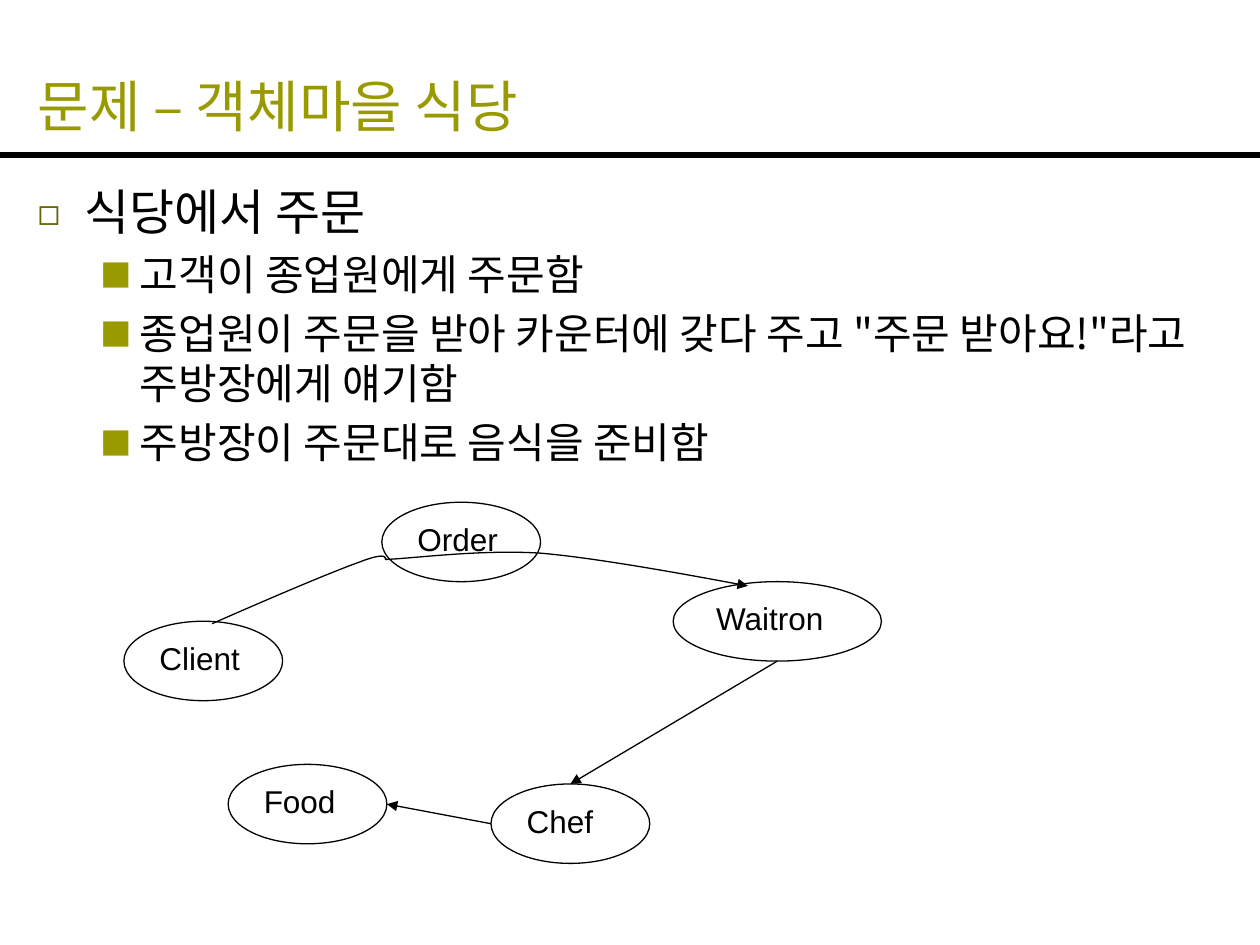
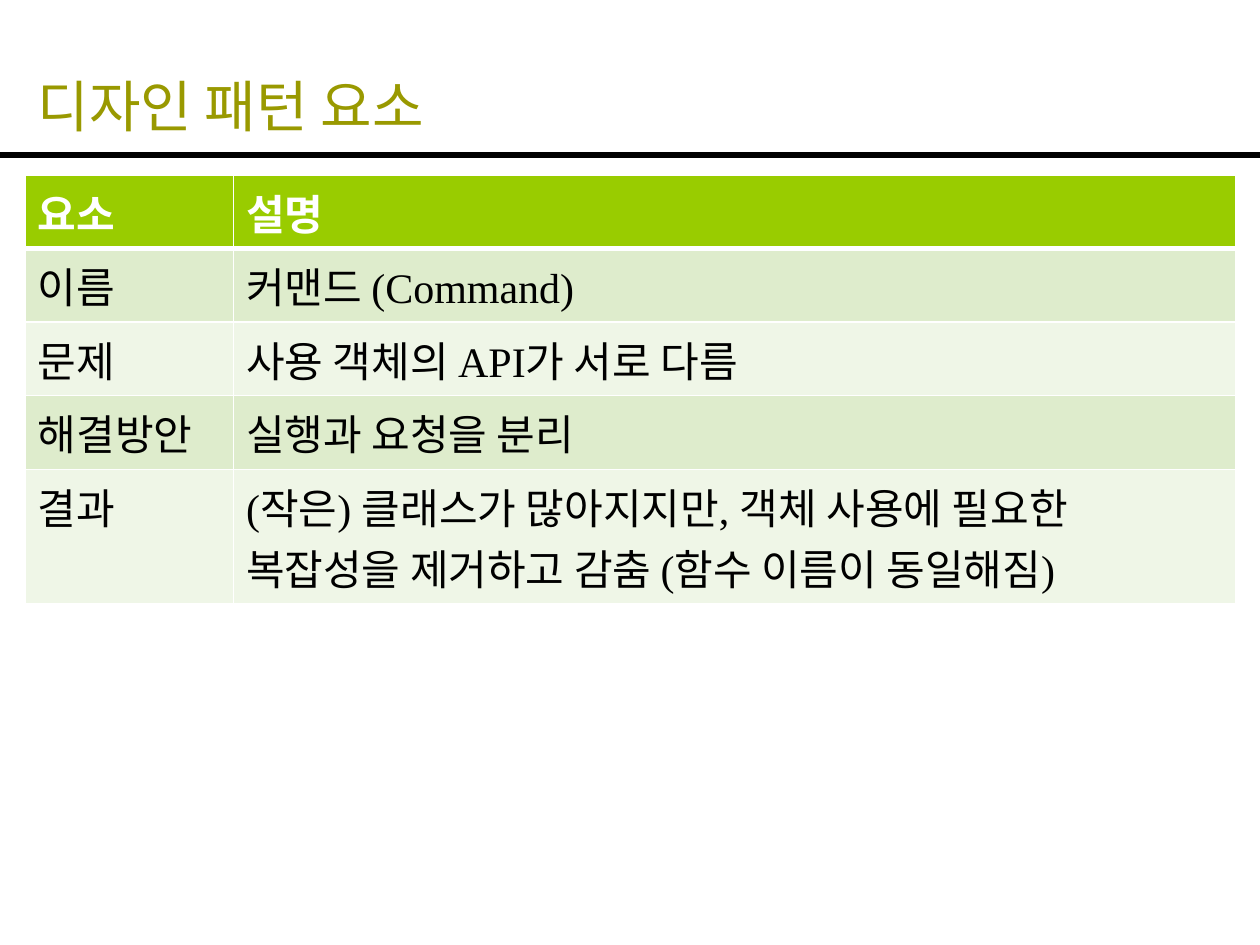
from dataclasses import dataclass

from pptx import Presentation
from pptx.dml.color import RGBColor as RGB
from pptx.enum.shapes import MSO_CONNECTOR as Connector, MSO_SHAPE as Preset
from pptx.enum.text import MSO_ANCHOR as Anchor, MSO_AUTO_SIZE as AutoSize, PP_ALIGN as Align
from pptx.oxml.ns import qn
from pptx.oxml.xmlchemy import OxmlElement as make
from pptx.util import Pt


@dataclass(frozen=True)
class Theme:
    # Colours
    ink: str = "000000"
    paper: str = "FFFFFF"
    olive: str = "999900"
    dark_olive: str = "666600"
    header: str = "99CC00"
    bands: tuple = ("DEECCC", "EFF6E7")
    # Fonts
    korean: str = "Noto Sans CJK KR"
    label_font: str = "Arial"
    table_font: str = "Times New Roman"
    # Type sizes and line widths
    title: int = 32
    topic: int = 28
    detail: int = 24
    label: int = 18
    rule: float = 3
    thin: float = 0.75
    grid: float = 1


def child(parent, tag, **attributes):
    element = make(tag)
    for name, value in attributes.items():
        element.set(name, str(value))
    parent.append(element)
    return element


class Deck:
    LEFT, WIDTH, BODY_TOP = 14.4, 692, 100

    def __init__(self, theme):
        self.theme = theme
        self.show = Presentation()
        self.show.slide_width, self.show.slide_height = Pt(720), Pt(540)
        self.slide = None

    def style(self, paragraph, size, face, color, bold=False):
        font = paragraph.font
        font.size, font.name, font.bold = Pt(size), face, bold
        font.color.rgb = RGB.from_string(color)
        defaults = paragraph._p.pPr.find(qn("a:defRPr"))
        child(defaults, "a:ea", typeface=self.theme.korean)

    def outline(self, shape, width, arrow=False):
        shape.line.color.rgb = RGB.from_string(self.theme.ink)
        shape.line.width = Pt(width)
        if arrow:
            child(shape.line._get_or_add_ln(), "a:tailEnd", type="triangle")

    def new_slide(self, heading):
        self.slide = self.show.slides.add_slide(self.show.slide_layouts[5])
        title = self.slide.shapes.title
        title.left, title.top = Pt(self.LEFT), Pt(21.6)
        title.width, title.height = Pt(self.WIDTH), Pt(61.2)
        frame = title.text_frame
        frame.text = heading
        frame.auto_size, frame.vertical_anchor = AutoSize.NONE, Anchor.BOTTOM
        frame.paragraphs[0].alignment = Align.LEFT
        self.style(frame.paragraphs[0], self.theme.title, self.theme.korean, self.theme.olive)
        self.line((0, 88.6), (720, 88.6), self.theme.rule)

    def line(self, start, end, width, arrow=False):
        ends = [Pt(value) for value in (*start, *end)]
        link = self.slide.shapes.add_connector(Connector.STRAIGHT, *ends)
        self.outline(link, width, arrow)
        child(link._element.spPr, "a:effectLst")

    def bullets(self, items, height):
        """Each item is (level, text)."""
        theme = self.theme
        # Per level: type size, text indent, hanging indent, mark, mark colour
        levels = (
            (theme.topic, 27, 27, "\u25fb", theme.dark_olive),
            (theme.detail, 58.5, 22.5, "\u25a0", theme.olive),
        )
        box = self.slide.shapes.add_textbox(
            Pt(self.LEFT), Pt(self.BODY_TOP), Pt(self.WIDTH), Pt(height))
        frame = box.text_frame
        frame.word_wrap = True
        for index, (level, text) in enumerate(items):
            size, indent, hang, mark, mark_color = levels[level]
            paragraph = frame.add_paragraph() if index else frame.paragraphs[0]
            paragraph.text, paragraph.level = text, level
            paragraph.line_spacing = Pt(size * 1.2)
            paragraph.space_before = Pt(size * 0.2)
            self.style(paragraph, size, theme.korean, theme.ink)
            props = paragraph._p.pPr
            props.set("marL", str(Pt(indent)))
            props.set("indent", str(-Pt(hang)))
            defaults = props.find(qn("a:defRPr"))
            child(child(props, "a:buClr"), "a:srgbClr", val=mark_color)
            child(props, "a:buSzPct", val=75000)
            child(props, "a:buFont", typeface=theme.korean)
            child(props, "a:buChar", char=mark)
            props.append(defaults)  # the schema wants the font defaults last

    def ellipse(self, text, left, top, width=90.7, height=45.4):
        node = self.slide.shapes.add_shape(
            Preset.OVAL, Pt(left), Pt(top), Pt(width), Pt(height))
        node.shadow.inherit = False
        node.fill.background()
        self.outline(node, self.theme.thin)
        frame = node.text_frame
        frame.text, frame.word_wrap, frame.vertical_anchor = text, True, Anchor.TOP
        frame.paragraphs[0].alignment = Align.LEFT
        self.style(frame.paragraphs[0], self.theme.label, self.theme.label_font, self.theme.ink)
        middle, centre = top + height / 2, left + width / 2
        return {"top": (centre, top), "bottom": (centre, top + height),
                "left": (left, middle), "right": (left + width, middle)}

    def curve(self, start, points):
        """Cubic curve: every three points are two controls and an end."""
        builder = self.slide.shapes.build_freeform(Pt(start[0]), Pt(start[1]))
        builder.add_line_segments([(Pt(x), Pt(y)) for x, y in points], close=False)
        flow = builder.convert_to_shape()
        flow.shadow.inherit = False
        flow.fill.background()
        self.outline(flow, self.theme.thin, arrow=True)
        segments = list(flow._element.iter(qn("a:lnTo")))
        for first in range(0, len(segments), 3):
            cubic = make("a:cubicBezTo")
            segments[first].addprevious(cubic)
            for segment in segments[first:first + 3]:
                cubic.append(segment[0])
                segment.getparent().remove(segment)

    def borders(self, cell, **widths):
        props = cell._tc.get_or_add_tcPr()
        for index, side in enumerate(("lnL", "lnR", "lnT", "lnB")):
            edge = make(f"a:{side}")
            edge.set("w", str(Pt(widths.get(side, self.theme.grid))))
            child(child(edge, "a:solidFill"), "a:srgbClr", val=self.theme.paper)
            props.insert(index, edge)

    def table(self, rows, column_widths, row_height):
        theme = self.theme
        grid = self.slide.shapes.add_table(
            len(rows), len(column_widths), Pt(self.LEFT), Pt(self.BODY_TOP),
            Pt(sum(column_widths)), Pt(row_height * len(rows))).table
        for column, width in zip(grid.columns, column_widths):
            column.width = Pt(width)
        for r, row in enumerate(rows):
            is_header = r == 0
            fill = theme.header if is_header else theme.bands[(r - 1) % 2]
            color = theme.paper if is_header else theme.ink
            edges = {0: {"lnB": theme.rule}, 1: {"lnT": theme.rule}}.get(r, {})
            for c, text in enumerate(row):
                cell = grid.cell(r, c)
                cell.text = text
                cell.fill.solid()
                cell.fill.fore_color.rgb = RGB.from_string(fill)
                self.style(cell.text_frame.paragraphs[0], theme.detail,
                           theme.table_font, color, is_header)
                self.borders(cell, **edges)


deck = Deck(Theme())

# Slide 1: the restaurant problem
deck.new_slide("문제 – 객체마을 식당")
deck.bullets([
    (0, "식당에서 주문"),
    (1, "고객이 종업원에게 주문함"),
    (1, "종업원이 주문을 받아 카운터에 갖다 주고 \"주문 받아요!\"라고 주방장에게 얘기함"),
    (1, "주방장이 주문대로 음식을 준비함"),
], height=383)

# Order flow: client, order, waitron, chef, food
deck.ellipse("Client", 70.8, 355)
deck.ellipse("Order", 218.2, 287)
waitron = deck.ellipse("Waitron", 384.7, 332.4, width=119)
deck.curve((121.2, 356.4), [
    (155.5, 341.3), (189.4, 326.9), (205.9, 321),
    (222.5, 314.6), (220.3, 319.7), (220.3, 319.7),
    (237.6, 319), (274.3, 313.9), (308.9, 316.1),
    (343.4, 319), (427.4, 334.8), (427.4, 334.8),
])
chef = deck.ellipse("Chef", 280.6, 448)
food = deck.ellipse("Food", 130.4, 436.8)
deck.line(waitron["bottom"], chef["top"], deck.theme.thin, arrow=True)
deck.line(chef["left"], food["right"], deck.theme.thin, arrow=True)

# Slide 2: elements of the pattern
deck.new_slide("디자인 패턴 요소")
deck.table([
    ("요소", "설명"),
    ("이름", "커맨드 (Command)"),
    ("문제", "사용 객체의 API가 서로 다름"),
    ("해결방안", "실행과 요청을 분리"),
    ("결과", "(작은) 클래스가 많아지지만, 객체 사용에 필요한 복잡성을 제거하고 감춤 (함수 이름이 동일해짐)"),
], column_widths=(119, 572.5), row_height=29.5)

deck.show.save("out.pptx")
